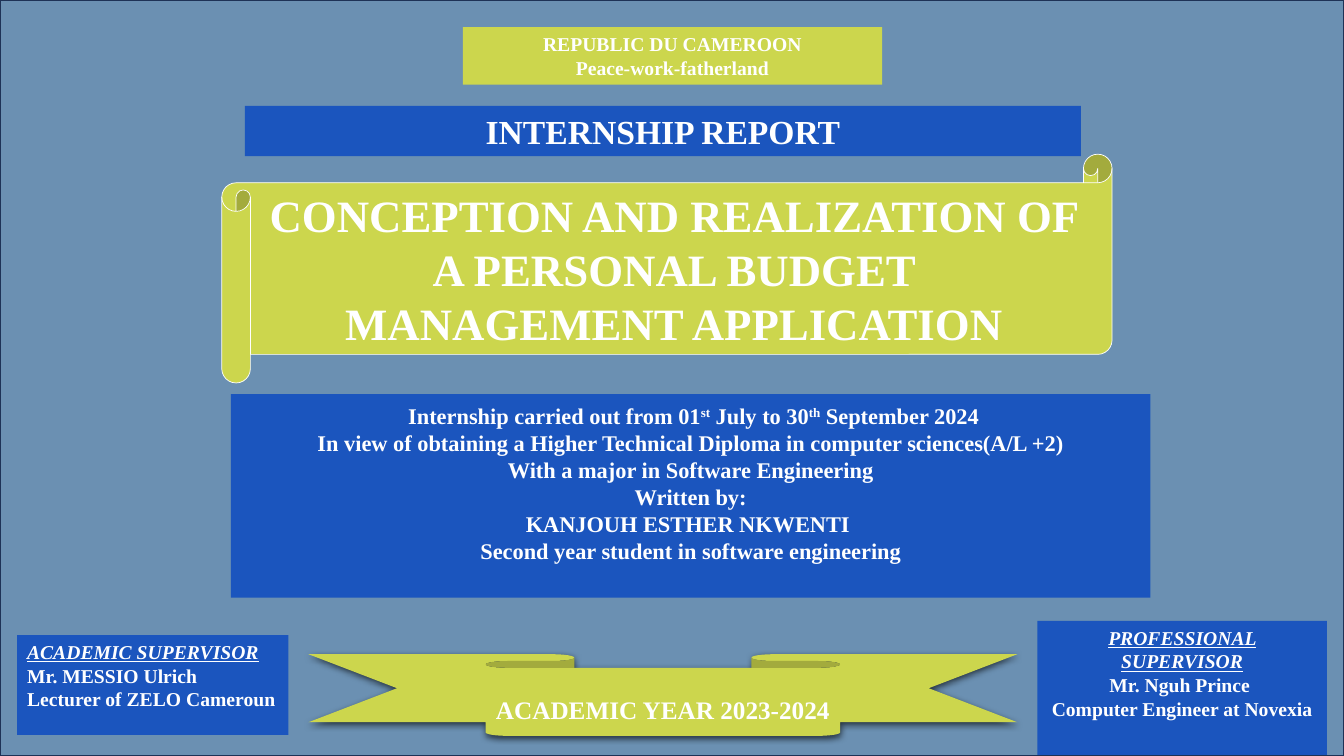
from lxml import etree
from pptx import Presentation
from pptx.dml.color import RGBColor
from pptx.enum.shapes import MSO_SHAPE
from pptx.enum.text import MSO_ANCHOR, PP_ALIGN
from pptx.oxml.ns import qn
from pptx.util import Inches, Pt

RECTANGLE = MSO_SHAPE.RECTANGLE
RIBBON = MSO_SHAPE.DOWN_RIBBON
SCROLL = MSO_SHAPE.HORIZONTAL_SCROLL
LEFT, CENTER = PP_ALIGN.LEFT, PP_ALIGN.CENTER
TOP, MIDDLE = MSO_ANCHOR.TOP, MSO_ANCHOR.MIDDLE

COLORS = {"sky": "6B90B2", "navy": "1E3256", "lime": "CCD64D",
          "blue": "1B55BE", "white": "FFFFFF", "black": "000000"}
COLUMNS, ROWS = 1333, 750

deck = Presentation()
deck.slide_width, deck.slide_height = Inches(13.33), Inches(7.5)
column, row = deck.slide_width / COLUMNS, deck.slide_height / ROWS
page = deck.slides.add_slide(deck.slide_layouts[6])


def add_box(kind, cells, fill, outline=None):
    """Place a filled shape; cells are left, top, width and height on the grid."""
    left, top, width, height = cells
    box = page.shapes.add_shape(kind, round(left * column), round(top * row),
                                round(width * column), round(height * row))
    box.shadow.inherit = False
    box.fill.solid()
    box.fill.fore_color.rgb = RGBColor.from_string(COLORS[fill])
    if outline:
        color, points = outline
        box.line.color.rgb = RGBColor.from_string(COLORS[color])
        box.line.width = Pt(points)
    else:
        box.line.fill.background()
    return box


def write(box, paragraphs, size, align=CENTER, anchor=TOP, spacing=1.0):
    """Fill a box; each paragraph is a list of (text, format values) spans."""
    frame = box.text_frame
    frame.word_wrap = True
    frame.vertical_anchor = anchor
    for index, spans in enumerate(paragraphs):
        para = frame.paragraphs[0] if index == 0 else frame.add_paragraph()
        para.alignment = align
        para.line_spacing = spacing
        for text, extra in spans:
            span = para.add_run()
            span.text = text
            span.font.color.rgb = RGBColor.from_string(COLORS["white"])
            values = {"name": "Times New Roman", "size": Pt(size), "bold": True} | extra
            for name, value in values.items():
                setattr(span.font, name, value)


PLAIN = {}
HEADING = {"italic": True, "underline": True}

add_box(RECTANGLE, (0, 0, COLUMNS, ROWS), "sky", ("navy", 1))

country = add_box(RECTANGLE, (459, 27, 416, 57), "lime")
write(country, [[("REPUBLIC DU CAMEROON", PLAIN)], [("Peace-work-fatherland", PLAIN)]], 14)

year = add_box(RIBBON, (306, 649, 703, 81), "lime")
write(year, [[("ACADEMIC YEAR 2023-2024", PLAIN)]], 18, anchor=MIDDLE, spacing=1.5)
effects = year._element.spPr.find(qn("a:effectLst"))
shadow = etree.SubElement(effects, qn("a:outerShdw"), blurRad=str(Pt(4.5)),
                          dist=str(Pt(1.5)), dir="5400000", algn="ctr", rotWithShape="0")
shade = etree.SubElement(shadow, qn("a:srgbClr"), val=COLORS["black"])
etree.SubElement(shade, qn("a:alpha"), val="63000")

report = add_box(RECTANGLE, (243, 105, 829, 50), "blue")
write(report, [[("INTERNSHIP REPORT", PLAIN)]], 24)

supervisors = [
    ((17, 630, 269, 99), LEFT, "ACADEMIC SUPERVISOR",
     ["Mr. MESSIO Ulrich", "Lecturer of ZELO Cameroun"]),
    ((1029, 616, 287, 133), CENTER, "PROFESSIONAL SUPERVISOR",
     ["Mr. Nguh Prince ", "Computer Engineer at Novexia"]),
]
for cells, align, heading, lines in supervisors:
    supervisor = add_box(RECTANGLE, cells, "blue")
    write(supervisor, [[(heading, HEADING)]] + [[(line, PLAIN)] for line in lines], 14, align)

details = add_box(RECTANGLE, (229, 391, 912, 202), "blue")
dates = [(" ", {"name": "Calibri", "size": Pt(18)}),
         ("Internship carried out from 01", PLAIN), ("st", PLAIN),
         (" July to 30", PLAIN), ("th", PLAIN), (" September 2024", PLAIN)]
lines = ["In view of obtaining a Higher Technical Diploma in computer sciences(A/L +2)",
         "With a major in Software Engineering",
         "Written by:",
         "KANJOUH ESTHER NKWENTI ",
         "Second year student in software engineering"]
write(details, [dates] + [[(line, PLAIN)] for line in lines], 16)
for span in details.text_frame.paragraphs[0].runs:
    if span.text in ("st", "th"):
        span._r.get_or_add_rPr().set("baseline", "30000")

title = add_box(SCROLL, (220, 153, 883, 227), "lime", ("white", 0.5))
title.adjustments[0] = 0.125
write(title, [[("CONCEPTION AND REALIZATION OF A PERSONAL BUDGET MANAGEMENT APPLICATION",
                PLAIN)]], 32)

deck.save("out.pptx")
